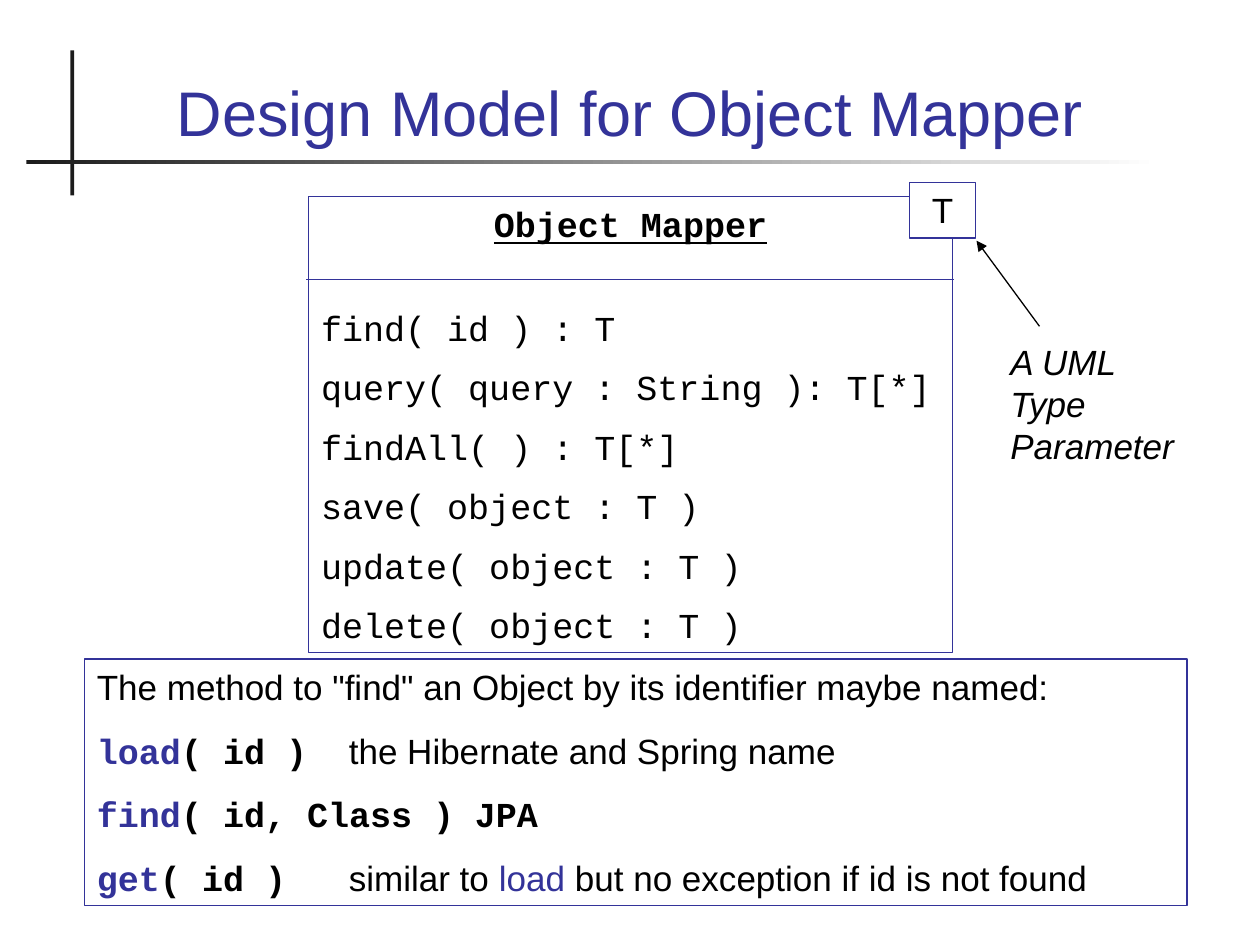
from lxml import etree
from pptx import Presentation
from pptx import util as u
from pptx.dml import color
from pptx.enum import shapes, text
from pptx.oxml import ns

NAVY, BLACK, WHITE, CHARCOAL = "333399", "000000", "FFFFFF", "1C1C1C"
SANS, MONO = "Arial", "Courier New"
METHODS = [
    "find( id ) : T",
    "query( query : String ): T[*]",
    "findAll( ) : T[*]",
    "save( object : T )",
    "update( object : T )",
    "delete( object : T )",
]
NAMED_FINDERS = [
    [("load", MONO, NAVY, True), ("( id )\t", MONO, BLACK, True),
     ("the Hibernate and Spring name", SANS, BLACK, False)],
    [("find", MONO, NAVY, True), ("( id, Class )\tJPA", MONO, BLACK, True)],
    [("get", MONO, NAVY, True), ("( id )\t", MONO, BLACK, True),
     ("similar to ", SANS, BLACK, False), ("load", SANS, NAVY, False),
     (" but no exception if id is not found", SANS, BLACK, False)],
]


def rgb(hex_colour):
    """Turn a hex string into a colour."""
    return color.RGBColor.from_string(hex_colour)


def style_run(run, font=SANS, colour=BLACK, bold=False, size=20):
    """Format one run."""
    run.font.name, run.font.size, run.font.bold = font, u.Pt(size), bold
    run.font.color.rgb = rgb(colour)


def write(frame, paragraphs, before=12.5):
    """Fill a frame with paragraphs, each a list of (text, font, colour, bold)."""
    for index, pieces in enumerate(paragraphs):
        paragraph = frame.add_paragraph() if index else frame.paragraphs[0]
        paragraph.alignment = text.PP_ALIGN.LEFT
        paragraph.space_before = u.Pt(before)
        for words, *look in pieces:
            run = paragraph.add_run()
            run.text = words
            style_run(run, *look)


def add_box(slide, left, top, width, height, fill=None, line=NAVY):
    """Add a rectangle with top-anchored text."""
    box = slide.shapes.add_shape(
        shapes.MSO_SHAPE.RECTANGLE,
        *(u.Inches(length) for length in (left, top, width, height)))
    box.shadow.inherit = False
    if fill:
        box.fill.solid()
        box.fill.fore_color.rgb = rgb(fill)
    else:
        box.fill.background()
    if line:
        box.line.color.rgb = rgb(line)
        box.line.width = u.Pt(0.75)
    else:
        box.line.fill.background()
    box.text_frame.word_wrap = True
    box.text_frame.vertical_anchor = text.MSO_ANCHOR.TOP
    return box


def add_line(slide, start, end, colour, arrow=False):
    """Draw a thin line, with an arrowhead at its end if asked."""
    line = slide.shapes.add_connector(
        shapes.MSO_CONNECTOR.STRAIGHT,
        *(u.Inches(length) for length in (*start, *end)))
    line.line.color.rgb = rgb(colour)
    line.line.width = u.Pt(0.75)
    if arrow:
        etree.SubElement(line.line._get_or_add_ln(), ns.qn("a:tailEnd"), type="triangle")
    etree.SubElement(line._element.spPr, ns.qn("a:effectLst"))


def add_heading(slide, left, top, width, height):
    """Place the title and the crossed rules beside and below it."""
    add_box(slide, left - 0.11, top + 0.12, 0.03, 1.15, CHARCOAL, None)
    rule = add_box(slide, left - 0.46, top + 0.99, 8.99, 0.03, CHARCOAL, None)
    rule.fill.gradient()
    rule.fill.gradient_angle = 0
    for stop, colour in zip(rule.fill.gradient_stops, (CHARCOAL, WHITE)):
        stop.color.rgb = rgb(colour)
    title = slide.shapes.title
    title.left, title.top = u.Inches(left), u.Inches(top)
    title.width, title.height = u.Inches(width), u.Inches(height)
    title.text_frame.text = "Design Model for Object Mapper"
    title.text_frame.vertical_anchor = text.MSO_ANCHOR.BOTTOM
    heading = title.text_frame.paragraphs[0]
    heading.alignment = text.PP_ALIGN.CENTER
    style_run(heading.runs[0], colour=NAVY, size=36)


def add_mapper_class(slide, left, top, width, height):
    """Draw the class box with its methods and its type parameter."""
    right = left + width
    frame = add_box(slide, left, top, width, height).text_frame
    write(frame, [[("Object Mapper", MONO, BLACK, True)]]
          + [[(method, MONO)] for method in METHODS], before=10)
    class_name = frame.paragraphs[0]
    class_name.alignment = text.PP_ALIGN.CENTER
    class_name.space_before = class_name.space_after = u.Pt(25)
    class_name.runs[0].font.underline = True
    add_line(slide, (right + 0.01, top + 0.66), (left - 0.02, top + 0.66), NAVY)

    parameter = add_box(slide, right - 0.34, top - 0.11, 0.52, 0.44, WHITE).text_frame
    write(parameter, [[("T",)]])
    parameter.paragraphs[0].alignment = text.PP_ALIGN.CENTER
    add_line(slide, (right + 0.69, top + 1.03), (right + 0.19, top + 0.35), BLACK, arrow=True)
    remark = add_box(slide, right + 0.36, top + 1.09, 1.58, 1.1, line=None).text_frame
    write(remark, [[("A UML Type Parameter",)]])
    remark.paragraphs[0].runs[0].font.italic = True


def add_naming_note(slide, left, top, width, height):
    """List the names used for the find method."""
    note = add_box(slide, left, top, width, height)
    intro = 'The method to "find" an Object by its identifier maybe named:'
    write(note.text_frame, [[(intro,)]] + NAMED_FINDERS)


def main():
    """Build and save the slide."""
    deck = Presentation()
    deck.slide_width, deck.slide_height = u.Inches(10), u.Inches(7.5)
    slide = deck.slides.add_slide(deck.slide_layouts[5])
    add_heading(slide, 0.67, 0.28, 8.66, 0.95)
    add_mapper_class(slide, 2.45, 1.56, 5.11, 3.62)
    add_naming_note(slide, 0.67, 5.23, 8.75, 1.96)
    deck.save("out.pptx")


if __name__ == "__main__":
    main()
